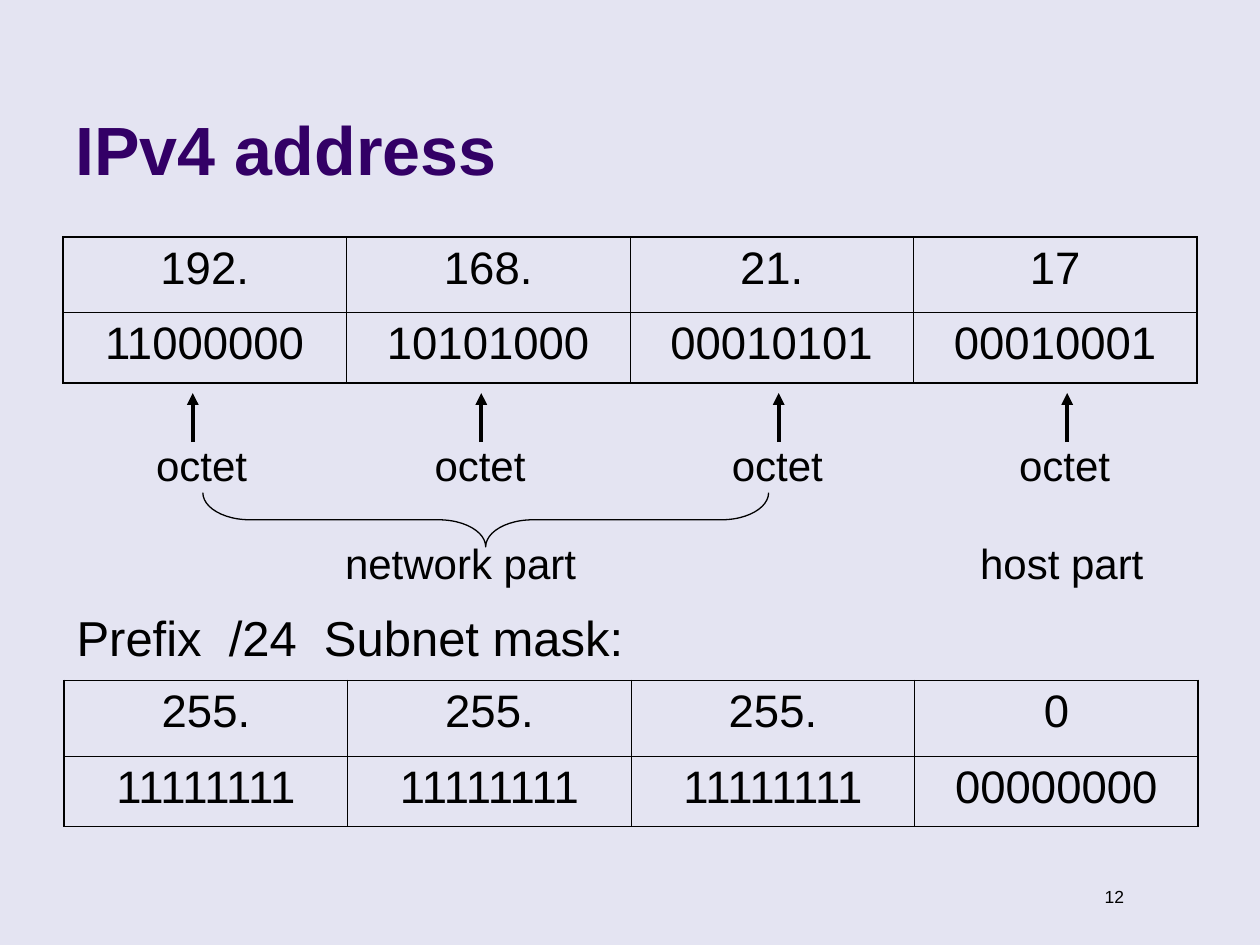
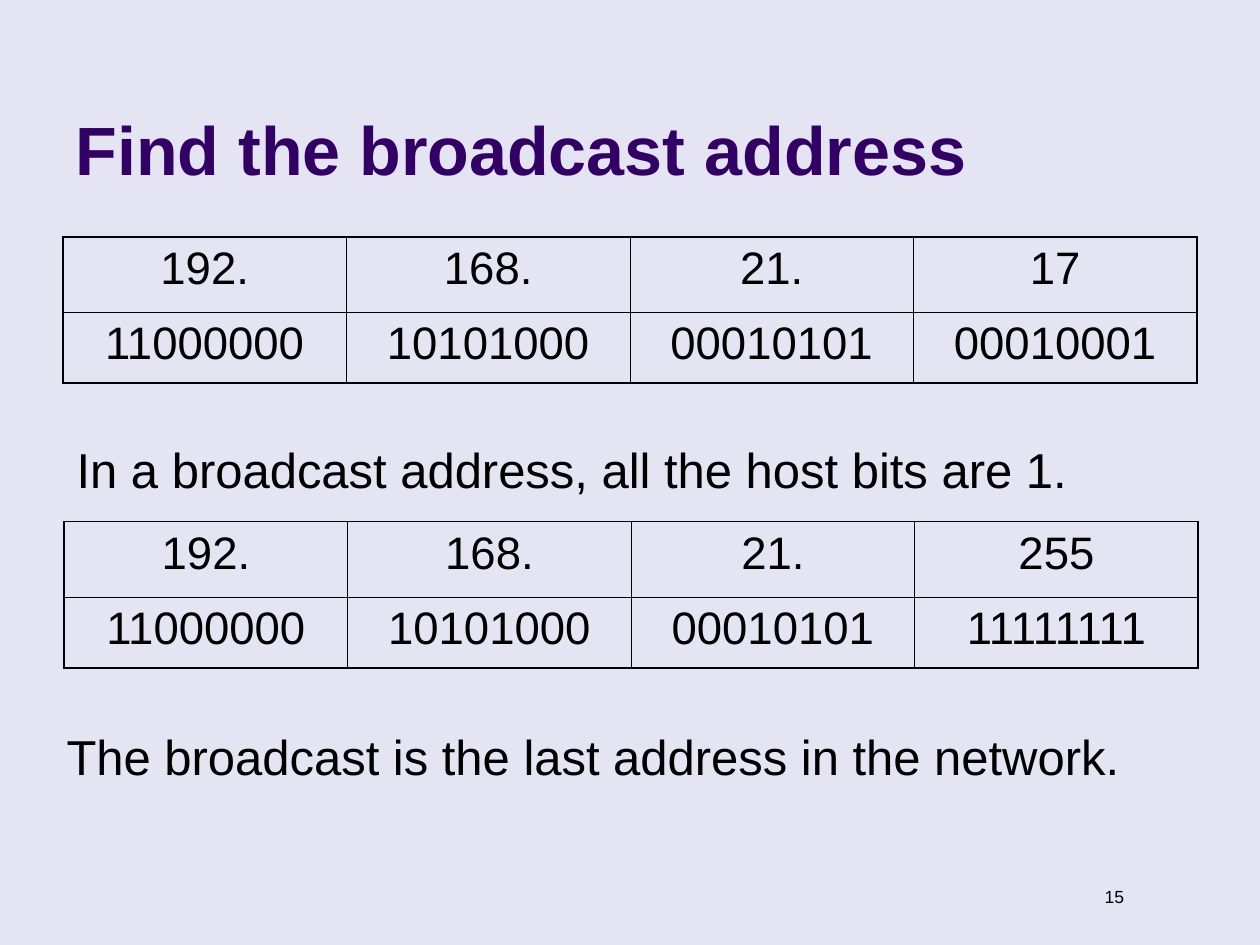
from pptx import Presentation
from pptx.dml.color import RGBColor
from pptx.enum.shapes import MSO_CONNECTOR, MSO_SHAPE
from pptx.enum.text import MSO_ANCHOR, MSO_AUTO_SIZE, PP_ALIGN
from pptx.oxml import parse_xml
from pptx.oxml.ns import nsdecls
from pptx.util import Inches, Pt

COLORS = {"background": "E4E4F2", "title": "330066", "ink": "000000"}
FONT = "Arial"
THIN, THICK = 0.45, 1.08
ROW_HEIGHTS = (0.6, 0.56)
COLUMN_WIDTH = 2.25
HOST_ADDRESS = (
    ("192.", "168.", "21.", "17"),
    ("11000000", "10101000", "00010101", "00010001"),
)
SUBNET_MASK = (
    ("255.", "255.", "255.", "0"),
    ("11111111", "11111111", "11111111", "00000000"),
)
BROADCAST_ADDRESS = (
    ("192.", "168.", "21.", "255"),
    ("11000000", "10101000", "00010101", "11111111"),
)
OCTET_LEFTS = (1.14, 3.35, 5.71, 7.99)
ARROW_POSITIONS = (1.53, 3.82, 6.18, 8.47)


def rgb(name):
    return RGBColor.from_string(COLORS[name])


class AddressDeck:
    """Hold the deck's style and draw elements on its current slide."""

    def __init__(self):
        self.presentation = Presentation()
        self.presentation.slide_width = Inches(10)
        self.presentation.slide_height = Inches(7.5)
        fill = self.presentation.slide_master.background.fill
        fill.solid()
        fill.fore_color.rgb = rgb("background")
        self.slide = None

    def style(self, paragraph, size, color="ink", bold=False, align=PP_ALIGN.LEFT):
        paragraph.alignment = align
        font = paragraph.font
        font.name, font.size, font.bold = FONT, Pt(size), bold
        font.color.rgb = rgb(color)

    def add_slide(self, title, number):
        layout = self.presentation.slide_layouts.get_by_name("Title Only")
        self.slide = self.presentation.slides.add_slide(layout)
        shape = self.slide.shapes.title
        shape.left, shape.top = Inches(0.5), Inches(0.13)
        shape.width, shape.height = Inches(8.25), Inches(1.42)
        frame = shape.text_frame
        frame.text = title
        frame.vertical_anchor = MSO_ANCHOR.BOTTOM
        frame.auto_size = MSO_AUTO_SIZE.NONE
        self.style(frame.paragraphs[0], 39, "title", bold=True)
        self.add_text(str(number), 8.39, 6.98, 0.63, 0.27, 10, PP_ALIGN.RIGHT)

    def add_text(self, text, left, top, width, height, size, align=PP_ALIGN.LEFT):
        shape = self.slide.shapes.add_textbox(
            Inches(left), Inches(top), Inches(width), Inches(height))
        frame = shape.text_frame
        frame.word_wrap = True
        frame.auto_size = MSO_AUTO_SIZE.SHAPE_TO_FIT_TEXT
        frame.text = text
        self.style(frame.paragraphs[0], size, align=align)

    def add_label(self, text, left, top, width):
        self.add_text(text, left, top, width, 0.5, 24)

    def add_statement(self, text, left, top, width=8.82):
        self.add_text(text, left, top, width, 0.57, 28)

    def add_border(self, cell, side, width):
        cell._tc.get_or_add_tcPr().append(parse_xml(
            f'<a:ln{side} {nsdecls("a")} w="{Pt(width)}"><a:solidFill>'
            f'<a:srgbClr val="{COLORS["ink"]}"/></a:solidFill></a:ln{side}>'))

    def add_address_table(self, rows, left, top):
        last_row, last_column = len(rows) - 1, len(rows[0]) - 1
        table = self.slide.shapes.add_table(
            len(rows), len(rows[0]), Inches(left), Inches(top),
            Inches(COLUMN_WIDTH * len(rows[0])), Inches(sum(ROW_HEIGHTS))).table
        table.first_row = table.horz_banding = False
        for column in table.columns:
            column.width = Inches(COLUMN_WIDTH)
        for row, height in zip(table.rows, ROW_HEIGHTS):
            row.height = Inches(height)
        for row_index, values in enumerate(rows):
            for column_index, value in enumerate(values):
                cell = table.cell(row_index, column_index)
                cell.text = value
                self.style(cell.text_frame.paragraphs[0], 26, align=PP_ALIGN.CENTER)
                outer_sides = {
                    "L": column_index == 0,
                    "R": column_index == last_column,
                    "T": row_index == 0,
                    "B": row_index == last_row,
                }
                for side, is_outer in outer_sides.items():
                    self.add_border(cell, side, THICK if is_outer else THIN)
                cell.fill.background()

    def add_up_arrow(self, x, bottom, top):
        connector = self.slide.shapes.add_connector(
            MSO_CONNECTOR.STRAIGHT, Inches(x), Inches(bottom), Inches(x), Inches(top))
        connector.line.color.rgb = rgb("ink")
        connector.line.width = Pt(2.25)
        connector.line._get_or_add_ln().append(
            parse_xml(f'<a:tailEnd {nsdecls("a")} type="triangle"/>'))
        connector._element.spPr.append(parse_xml(f'<a:effectLst {nsdecls("a")}/>'))

    def add_brace(self, left, top, width, height):
        shape = self.slide.shapes.add_shape(
            MSO_SHAPE.LEFT_BRACE, Inches(left), Inches(top), Inches(width), Inches(height))
        shape.rotation = 270
        shape.adjustments[0] = 0.87
        shape.shadow.inherit = False
        shape.fill.background()
        shape.line.color.rgb = rgb("ink")
        shape.line.width = Pt(0.75)


def main():
    deck = AddressDeck()

    deck.add_slide("IPv4 address", 12)
    deck.add_address_table(HOST_ADDRESS, 0.5, 1.88)
    for label_left, arrow_x in zip(OCTET_LEFTS, ARROW_POSITIONS):
        deck.add_label("octet", label_left, 3.44, 1.02)
        deck.add_up_arrow(arrow_x, 3.51, 3.12)
    deck.add_label("network part", 2.64, 4.22, 2.68)
    deck.add_label("host part", 7.68, 4.22, 1.65)
    deck.add_brace(3.64, 1.88, 0.43, 4.49)
    deck.add_address_table(SUBNET_MASK, 0.51, 5.4)
    deck.add_statement("Prefix  /24  Subnet mask:", 0.51, 4.77, 6.54)

    deck.add_slide("Find the broadcast address", 15)
    deck.add_address_table(HOST_ADDRESS, 0.5, 1.88)
    deck.add_statement("In a broadcast address, all the host bits are 1.", 0.51, 3.44)
    deck.add_address_table(BROADCAST_ADDRESS, 0.51, 4.14)
    deck.add_statement("The broadcast is the last address in the network.", 0.43, 5.72)

    deck.presentation.save("out.pptx")


if __name__ == "__main__":
    main()
